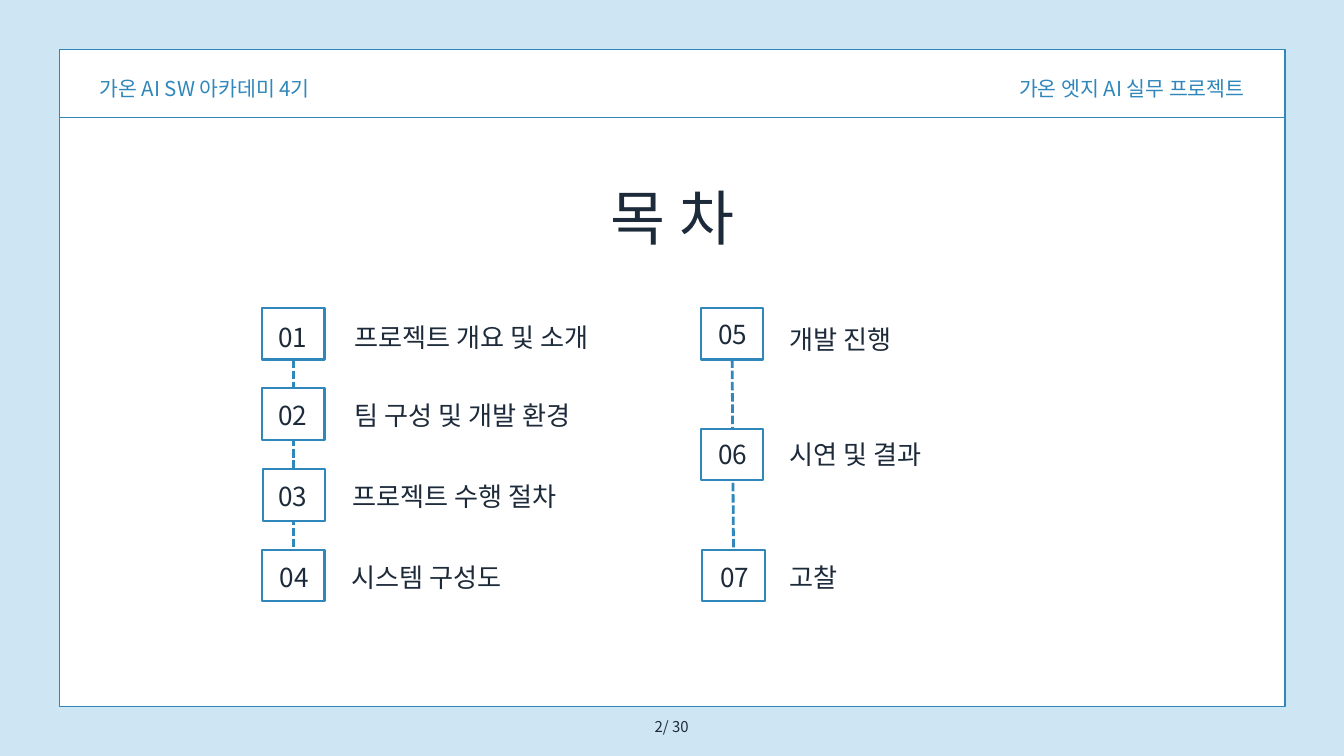
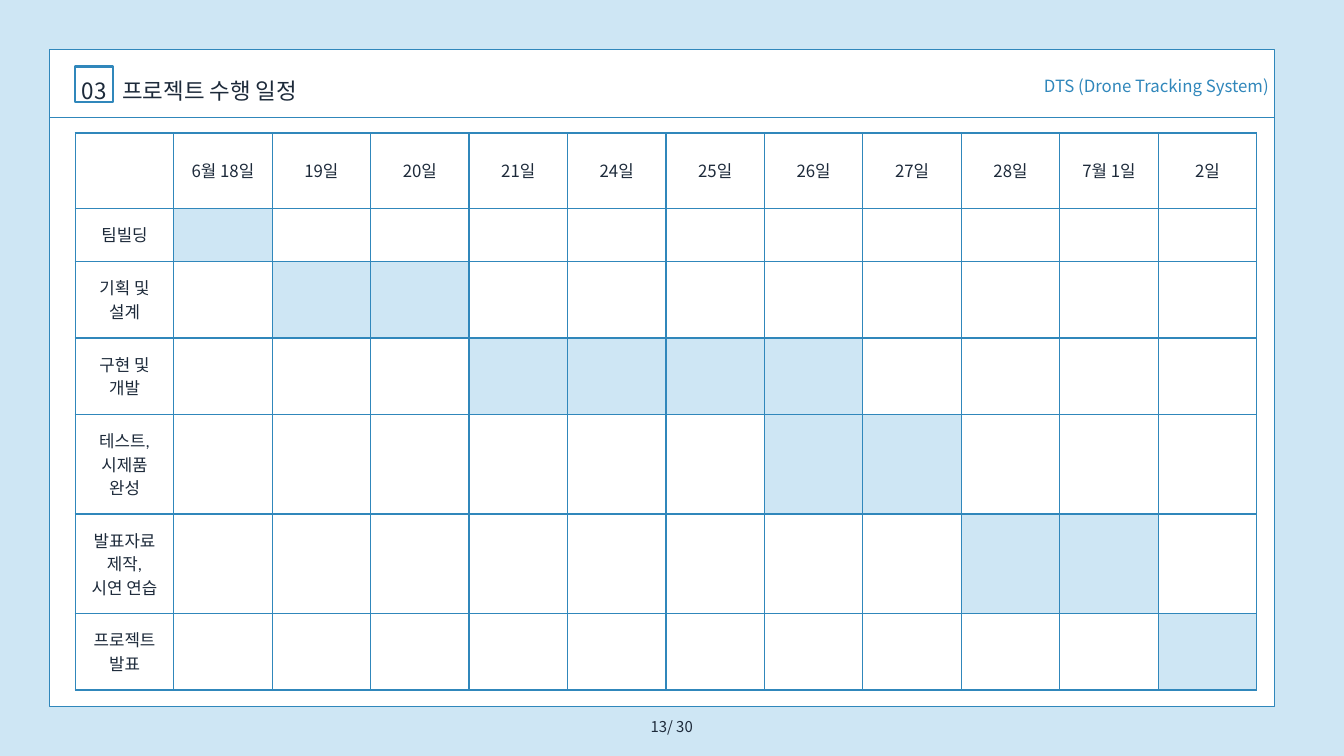
from dataclasses import dataclass

from lxml.etree import SubElement
from pptx import Presentation
from pptx.dml.color import RGBColor
from pptx.enum.dml import MSO_LINE_DASH_STYLE as DASH
from pptx.enum.shapes import MSO_CONNECTOR as CONN, MSO_SHAPE as SHAPE
from pptx.enum.text import MSO_ANCHOR as ANCHOR, MSO_AUTO_SIZE as FIT, PP_ALIGN as ALIGN
from pptx.oxml.ns import qn
from pptx.util import Inches, Pt


@dataclass(frozen=True)
class Theme:
    back: RGBColor = RGBColor.from_string("CEE6F4")
    accent: RGBColor = RGBColor.from_string("3087BB")
    ink: RGBColor = RGBColor.from_string("1D2A3A")
    white: RGBColor = RGBColor.from_string("FFFFFF")
    latin: str = "Calibri"
    cjk: str = "Noto Sans CJK KR"
    title: int = 64
    item: int = 28
    section: int = 24
    header: int = 22
    small: int = 18
    footer: int = 16
    thin: float = 0.75
    rule: float = 1.5
    box: float = 2.25
    dash: float = 3


CARD_TOP, CARD_W, CARD_H, RULE_Y = 0.74, 18.23, 9.77, 1.75
BOX_W, BOX_H, NUMBER_W = 0.93, 0.77, 1.29

AGENDA_COLUMNS = [
    [
        ("01", 3.9, 4.58, 4.36, 4.78, "프로젝트 개요 및 소개", 5.28, 4.78),
        ("02", 3.9, 5.78, 4.36, 5.95, "팀 구성 및 개발 환경", 5.28, 5.95),
        ("03", 3.91, 6.98, 4.36, 7.15, "프로젝트 수행 절차", 5.25, 7.15),
        ("04", 3.9, 8.18, 4.38, 8.35, "시스템 구성도", 5.23, 8.35),
    ],
    [
        ("05", 10.43, 4.58, 10.9, 4.74, "개발 진행", 11.75, 4.81),
        ("06", 10.43, 6.38, 10.9, 6.53, "시연 및 결과", 11.75, 6.53),
        ("07", 10.45, 8.18, 10.93, 8.35, "고찰", 11.75, 8.35),
    ],
]

DATES = ["6월 18일", "19일", "20일", "21일", "24일", "25일",
         "26일", "27일", "28일", "7월 1일", "2일"]
TASKS = [
    (["팀빌딩"], 0.79, 1, 1),
    (["기획 및 설계"], 1.14, 2, 3),
    (["구현 및 개발"], 1.14, 4, 7),
    (["테스트,", "시제품 완성"], 1.48, 7, 8),
    (["발표자료 제작,", "시연 연습"], 1.48, 9, 10),
    (["프로젝트 발표"], 1.14, 11, 11),
]


class Deck:
    def __init__(self, theme):
        self.theme = theme
        self.prs = Presentation()
        self.prs.slide_width = Inches(20)
        self.prs.slide_height = Inches(11.25)
        self.s = None

    def slide(self, left, border, page):
        self.s = self.prs.slides.add_slide(self.prs.slide_layouts[5])
        fill = self.s.background.fill
        fill.solid()
        fill.fore_color.rgb = self.theme.back
        self.box(left, CARD_TOP, CARD_W, CARD_H, border)
        self.line((left, RULE_Y), (left + CARD_W, RULE_Y), self.theme.rule)
        self.text(page, 7.87, 10.68, 4.25, 0.27, self.theme.footer,
                  align=ALIGN.CENTER, font=self.theme.cjk)

    def box(self, x, y, w, h, width):
        sp = self.s.shapes.add_shape(SHAPE.RECTANGLE, Inches(x), Inches(y), Inches(w), Inches(h))
        sp.shadow.inherit = False
        sp.fill.solid()
        sp.fill.fore_color.rgb = self.theme.white
        sp.line.color.rgb = self.theme.accent
        sp.line.width = Pt(width)
        return sp

    def line(self, start, end, width):
        ln = self.s.shapes.add_connector(CONN.STRAIGHT, *map(Inches, start + end))
        ln.line.color.rgb = self.theme.accent
        ln.line.width = Pt(width)
        SubElement(ln.element.spPr, qn("a:effectLst"))
        return ln

    def link(self, upper, lower):
        ln = self.line((0, 0), (0, 0), self.theme.dash)
        ln.begin_connect(upper, 2)
        ln.end_connect(lower, 0)
        ln.line.dash_style = DASH.SQUARE_DOT

    def paragraph(self, p, text, size, spacing, align, color, font):
        p.alignment = align
        p.line_spacing = Pt(spacing)
        r = p.add_run()
        r.text = text
        for name, value in {"size": Pt(size), "name": font, "bold": False}.items():
            setattr(r.font, name, value)
        r.font.color.rgb = color
        SubElement(r._r.get_or_add_rPr(), qn("a:ea"), typeface=self.theme.cjk)

    def fill_frame(self, sp, text, size, ratio=1.2, align=ALIGN.LEFT, color=None, font=None):
        tf = sp.text_frame
        frame = {"word_wrap": True, "auto_size": FIT.SHAPE_TO_FIT_TEXT,
                 "vertical_anchor": ANCHOR.TOP, "margin_left": 0, "margin_top": 0,
                 "margin_right": 0, "margin_bottom": 0}
        for name, value in frame.items():
            setattr(tf, name, value)
        self.paragraph(tf.paragraphs[0], text, size, size * ratio, align,
                       color or self.theme.ink, font or self.theme.latin)

    def text(self, text, x, y, w, h, size, **style):
        sp = self.s.shapes.add_textbox(Inches(x), Inches(y), Inches(w), Inches(h))
        self.fill_frame(sp, text, size, **style)

    def title(self, text, x, y, w, h, size, **style):
        sp = self.s.shapes.title
        place = {"left": x, "top": y, "width": w, "height": h}
        for name, value in place.items():
            setattr(sp, name, Inches(value))
        self.fill_frame(sp, text, size, **style)
        sp.element.getparent().append(sp.element)

    def number(self, text, center, y, h, size):
        self.text(text, center - NUMBER_W / 2, y, NUMBER_W, h, size,
                  align=ALIGN.CENTER, font=self.theme.cjk)

    def header(self, text, x, y, w, h, size, align=ALIGN.LEFT):
        self.text(text, x, y, w, h, size, ratio=1.4, align=align,
                  color=self.theme.accent, font=self.theme.cjk)

    def agenda(self, column):
        def item_box(item):
            return self.box(item[1], item[2], BOX_W, BOX_H, self.theme.box)

        self.link(item_box(column[0]), item_box(column[-1]))
        for item in column[1:-1]:
            item_box(item)
        for number, _, _, center, number_y, label, label_x, label_y in column:
            self.number(number, center, number_y, 0.45, self.theme.item)
            self.text(label, label_x, label_y, 4.25, 0.45, self.theme.item)

    def cell(self, cell, lines, filled, font):
        margins = ("margin_left", "margin_top", "margin_right", "margin_bottom")
        for name in margins:
            setattr(cell, name, Inches(0.21))
        cell.vertical_anchor = ANCHOR.MIDDLE
        tcPr = cell._tc.get_or_add_tcPr()
        for edge in ("lnL", "lnR", "lnT", "lnB"):
            ln = SubElement(tcPr, qn(f"a:{edge}"), w=str(Pt(self.theme.rule)))
            solid = SubElement(ln, qn("a:solidFill"))
            SubElement(solid, qn("a:srgbClr"), val=str(self.theme.accent))
        if filled:
            cell.fill.solid()
            cell.fill.fore_color.rgb = self.theme.back
        else:
            cell.fill.background()
        tf = cell.text_frame
        for i, line in enumerate(lines):
            p = tf.add_paragraph() if i else tf.paragraphs[0]
            self.paragraph(p, line, self.theme.small, self.theme.small * 1.4,
                           ALIGN.CENTER, self.theme.ink, font)

    def schedule(self, dates, tasks, x, y, col_w, head_h):
        heights = [head_h] + [task[1] for task in tasks]
        cols = len(dates) + 1
        table = self.s.shapes.add_table(len(heights), cols, Inches(x), Inches(y),
                                        Inches(col_w * cols), Inches(sum(heights))).table
        table.first_row = table.horz_banding = False
        for col in table.columns:
            col.width = Inches(col_w)
        for row, height in zip(table.rows, heights):
            row.height = Inches(height)
        for c, date in enumerate([""] + dates):
            self.cell(table.cell(0, c), [date] if date else [], False, self.theme.cjk)
        for r, (lines, _, first, last) in enumerate(tasks, 1):
            for c in range(cols):
                self.cell(table.cell(r, c), [] if c else lines,
                          first <= c <= last, self.theme.latin)


def main():
    theme = Theme()
    deck = Deck(theme)

    deck.slide(0.89, theme.rule, "2/ 30")
    deck.header("가온 AI SW 아카데미 4기", 1.48, 1.07, 5.05, 0.41, theme.header)
    deck.header("가온 엣지 AI 실무 프로젝트", 13.73, 1.07, 4.79, 0.41, theme.header, ALIGN.RIGHT)
    deck.title("목 차", 6.94, 2.51, 6.13, 1.19, theme.title, ratio=1.4, align=ALIGN.CENTER)
    for column in AGENDA_COLUMNS:
        deck.agenda(column)

    deck.slide(0.74, theme.thin, "13/ 30")
    deck.schedule(DATES, TASKS, 1.12, 1.98, 17.58 / 12, 0.79)
    deck.box(1.12, 0.99, 0.56, 0.53, theme.box)
    deck.title("프로젝트 수행 일정", 1.82, 1.14, 3.33, 0.39, theme.section)
    deck.number("03", 1.4, 1.14, 0.39, theme.section)
    deck.header("DTS (Drone Tracking System)", 14.49, 1.08, 4.39, 0.34, theme.small, ALIGN.RIGHT)

    deck.prs.save("out.pptx")


if __name__ == "__main__":
    main()
